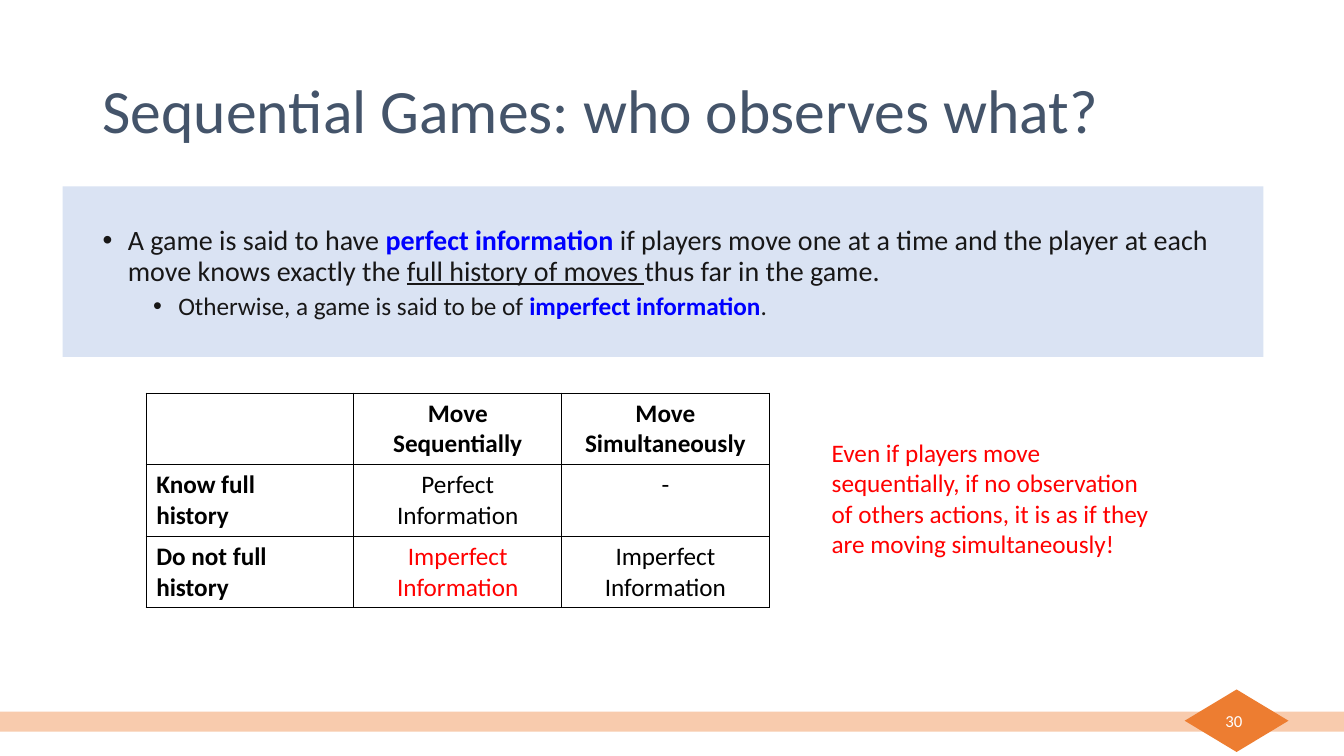
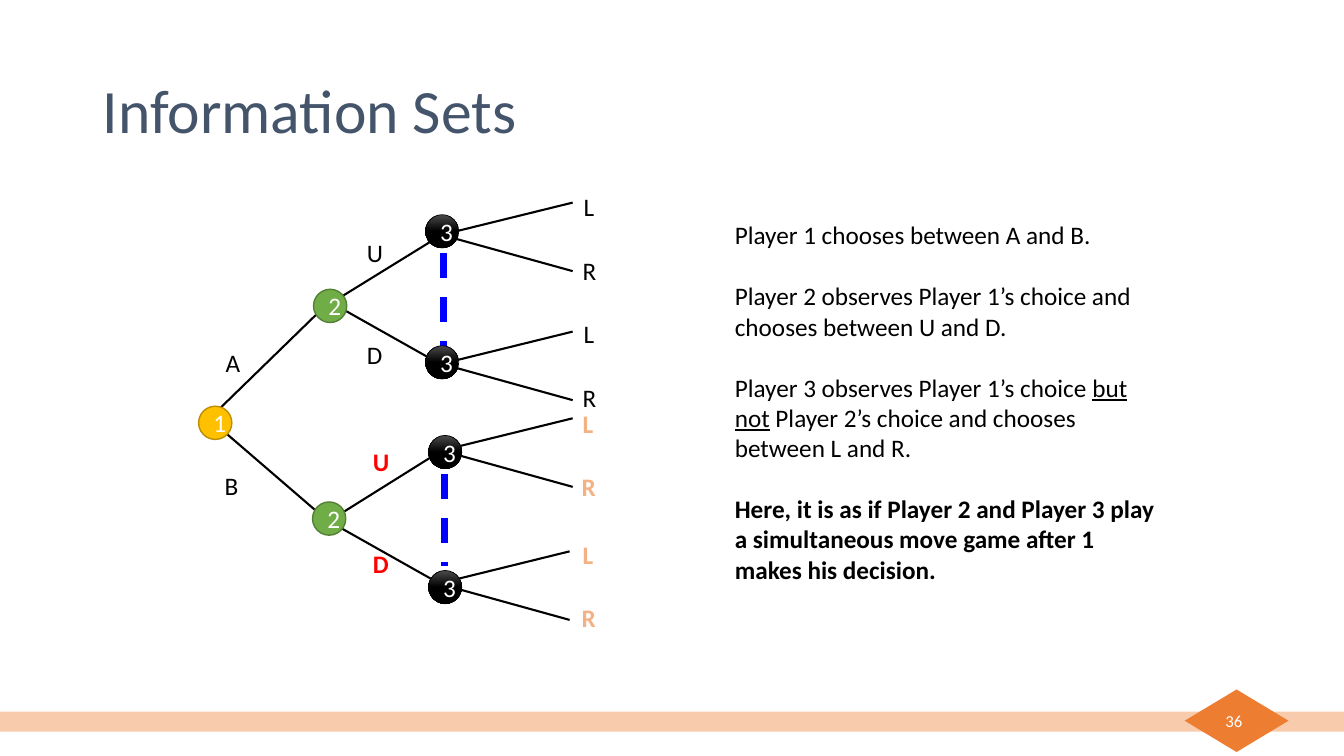
import lxml.etree
import pptx
import pptx.dml.color
import pptx.enum.dml
import pptx.enum.shapes
import pptx.enum.text
import pptx.oxml.ns
import pptx.util

Inches, Pt = pptx.util.Inches, pptx.util.Pt
RGB = pptx.dml.color.RGBColor.from_string
MSO = pptx.enum.shapes.MSO_SHAPE
ALIGN = pptx.enum.text.PP_ALIGN
ANCHOR = pptx.enum.text.MSO_ANCHOR
qn = pptx.oxml.ns.qn

FONT = "Calibri"
COLORS = {
    "title": "44546A", "body": "181717", "black": "000000", "white": "FFFFFF",
    "red": "FF0000", "blue": "0000FF", "panel": "DAE3F3", "band": "F8CBAD",
    "orange": "ED7D31", "peach": "F4B183", "sheen": "4B4B4B",
    "gold": "FFC000", "gold_line": "BD8E00", "green": "70AD47", "green_line": "538035",
}


def write(tf, *paras, size=18, color="black", bold=False, align=ALIGN.LEFT,
          anchor=ANCHOR.TOP, spacing=None, before=0, bullets=(), wrap=True):
    tf.word_wrap = wrap
    tf.vertical_anchor = anchor
    for i, para in enumerate(paras):
        p = tf.paragraphs[0] if i == 0 else tf.add_paragraph()
        p.alignment = align
        if bullets:
            p.level = bullets[i]
            pPr = p._p.get_or_add_pPr()
            pPr.set("marL", str(Inches(0.25 + 0.5 * bullets[i])))
            pPr.set("indent", str(Inches(-0.25)))
            lxml.etree.SubElement(pPr, qn("a:buFont"), typeface="Arial")
            lxml.etree.SubElement(pPr, qn("a:buChar"), char="•")
        if spacing:
            p.line_spacing = spacing
        if i:
            p.space_before = Pt(before)
        for text, fmt in [(para, {})] if isinstance(para, str) else para:
            for n, part in enumerate(text.split("\n")):
                if n:
                    p.add_line_break()
                r = p.add_run()
                r.text = part
                r.font.name = FONT
                r.font.size = Pt(fmt.get("size", size))
                r.font.bold = fmt.get("bold", bold)
                r.font.underline = fmt.get("underline", False)
                r.font.color.rgb = RGB(COLORS[fmt.get("color", color)])


def shape(s, kind, box, fill, line=None, width=1):
    sp = s.shapes.add_shape(kind, *map(Inches, box))
    sp.shadow.inherit = False
    sp.fill.solid()
    sp.fill.fore_color.rgb = RGB(COLORS[fill])
    if line:
        sp.line.color.rgb = RGB(COLORS[line])
        sp.line.width = Pt(width)
    else:
        sp.line.fill.background()
    return sp


prs = pptx.Presentation()
prs.slide_width, prs.slide_height = Inches(13.33), Inches(7.5)

for title, number in (("Sequential Games: who observes what?", "30"), ("Information Sets", "36")):
    s = prs.slides.add_slide(prs.slide_layouts[6])
    shape(s, MSO.RECTANGLE, (0, 7.06, 13.33, 0.2), "band")
    shape(s, MSO.DIAMOND, (11.75, 6.84, 1.03, 0.62), "orange")
    tb = s.shapes.add_textbox(*map(Inches, (0.92, 0.4, 11.5, 1.45)))
    write(tb.text_frame, title, size=44, color="title", anchor=ANCHOR.MIDDLE, spacing=0.9)
    tb = s.shapes.add_textbox(*map(Inches, (9.42, 6.95, 3, 0.4)))
    write(tb.text_frame, number, size=12, color="white", align=ALIGN.RIGHT, anchor=ANCHOR.MIDDLE)

observe, tree = prs.slides

shape(observe, MSO.RECTANGLE, (0.62, 1.85, 11.91, 1.69), "panel")
term = {"color": "blue", "bold": True}
tb = observe.shapes.add_textbox(*map(Inches, (0.92, 2.2, 11.34, 1.2)))
write(
    tb.text_frame,
    [("A game is said to have ", {}), ("perfect information ", term),
     ("if players move one at a time and the player at each move knows exactly the ", {}),
     ("full history of moves ", {"underline": True}), ("thus far in the game.", {})],
    [("Otherwise, a game is said to be of ", {"size": 18}),
     ("imperfect information", {"size": 18, **term}), (".", {"size": 18})],
    size=20, color="body", spacing=0.9, before=5, bullets=(0, 1))

rows = [
    ["", "Move Sequentially", "Move Simultaneously"],
    ["Know full \nhistory", "Perfect Information", "-"],
    ["Do not full history", "Imperfect Information", "Imperfect Information"],
]
tbl = observe.shapes.add_table(3, 3, *map(Inches, (1.45, 3.9, 6.18, 2.13))).table
tbl.first_row = tbl.horz_banding = False
for i, row in enumerate(rows):
    for j, text in enumerate(row):
        cell = tbl.cell(i, j)
        tcPr = cell._tc.get_or_add_tcPr()
        for side in ("lnL", "lnR", "lnT", "lnB"):
            ln = lxml.etree.SubElement(tcPr, qn("a:" + side), w=str(Pt(1)))
            fill = lxml.etree.SubElement(ln, qn("a:solidFill"))
            lxml.etree.SubElement(fill, qn("a:srgbClr"), val=COLORS["black"])
        cell.fill.background()
        if text:
            write(cell.text_frame, text, bold=i == 0 or j == 0,
                  color="red" if (i, j) == (2, 1) else "black",
                  align=ALIGN.CENTER if j else ALIGN.LEFT)

tb = observe.shapes.add_textbox(*map(Inches, (8.15, 4.29, 3.41, 1.31)))
write(tb.text_frame, "Even if players move sequentially, if no observation of others actions, "
      "it is as if they are moving simultaneously!", color="red")

hubs = [(4.38, 2.33), (4.38, 3.61), (4.38, 4.47), (4.35, 5.79)]
branches = [
    (2.07, 4.16, 3.23, 3.03), (2.07, 4.15, 3.23, 5.15),
    (3.23, 3.04, 4.38, 2.33), (3.28, 3, 4.38, 3.62),
    (3.23, 5.19, 4.38, 4.47), (3.26, 5.17, 4.36, 5.79),
]
branches += [(x, y, x + 1.3, y + dy) for x, y in hubs for dy in (-0.32, 0.36)]
info_sets = [(4.4, 2.51, 4.4, 3.43), (4.41, 4.7, 4.41, 5.62)]
for ends in branches + info_sets:
    line = tree.shapes.add_connector(pptx.enum.shapes.MSO_CONNECTOR.STRAIGHT, *map(Inches, ends))
    dashed = ends in info_sets
    line.line.color.rgb = RGB(COLORS["blue" if dashed else "black"])
    line.line.width = Pt(4.5 if dashed else 1.5)
    if dashed:
        line.line.dash_style = pptx.enum.dml.MSO_LINE.DASH
    lxml.etree.SubElement(line._element.spPr, qn("a:effectLst"))

styles = {"1": ("gold", "gold_line", 1), "2": ("green", "green_line", 1), "3": ("black", "black", 0.5)}
nodes = [
    ("1", 1.97, 4.03), ("2", 3.11, 2.87), ("2", 3.1, 4.98),
    ("3", 4.22, 2.13), ("3", 4.22, 3.43), ("3", 4.25, 4.32), ("3", 4.25, 5.66),
]
for player, x, y in nodes:
    sp = shape(tree, MSO.OVAL, (x, y, 0.33, 0.33), *styles[player])
    if player == "3":
        sp.fill.gradient()
        sp.fill.gradient_angle = 270
        for stop, color, position in zip(sp.fill.gradient_stops, ("sheen", "black"), (0, 0.5)):
            stop.color.rgb = RGB(COLORS[color])
            stop.position = position
    write(sp.text_frame, player, color="white", align=ALIGN.CENTER, anchor=ANCHOR.MIDDLE)

labels = [
    ("A", 2.14, 3.4, "black"), ("B", 2.13, 4.62, "black"),
    ("U", 3.54, 2.31, "black"), ("D", 3.54, 3.32, "black"),
    ("U", 3.6, 4.38, "red"), ("D", 3.6, 5.39, "red"),
]
for x, y, color in ((5.69, 1.85, "black"), (5.69, 3.11, "black"), (5.68, 4, "peach"), (5.68, 5.3, "peach")):
    labels += [("L", x, y, color), ("R", x - 0.01, y + 0.63, color)]
for move, x, y, color in labels:
    tb = tree.shapes.add_textbox(*map(Inches, (x, y, 0.31 if move == "L" else 0.35, 0.4)))
    write(tb.text_frame, move, color=color, bold=color != "black", wrap=False)

tb = tree.shapes.add_textbox(*map(Inches, (7.19, 2.13, 4.46, 4.34)))
write(
    tb.text_frame,
    "Player 1 chooses between A and B.",
    "Player 2 observes Player 1’s choice and chooses between U and D.",
    [("Player 3 observes Player 1’s choice ", {}), ("but not", {"underline": True}),
     (" Player 2’s choice and chooses between L and R.", {})],
    [("Here, it is as if Player 2 and Player 3 play a simultaneous move game after 1 "
      "makes his decision.", {"bold": True})],
    before=22)

prs.save("out.pptx")
